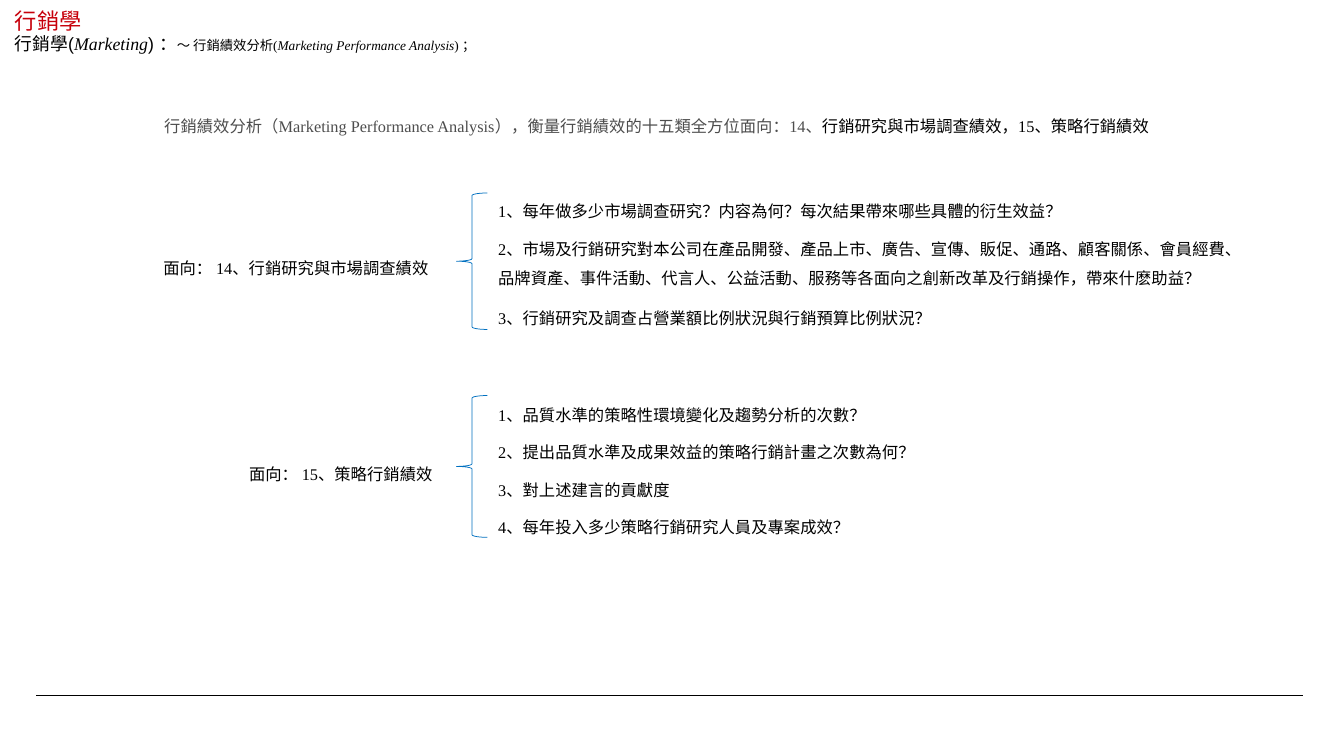
"""Builds the marketing performance slide with its two braced question groups."""
from dataclasses import dataclass

from lxml import etree
from pptx import Presentation
from pptx import util as u
from pptx.dml.color import RGBColor
from pptx.enum import shapes, text
from pptx.oxml import ns

COLOURS = {"red": "C7000B", "black": "000000", "grey": "4D4D4D", "blue": "0070C0"}
CELL = u.Inches(0.1)
COLUMNS, ROWS = 126, 70.9
LINE_ROWS, EXTRA_LINE_ROWS, GAP_ROWS = 3.4, 3.0, 0.1
ITEM_COLUMN, BRACE_COLUMN, BRACE_COLUMNS = 45.8, 42.8, 2.9
SANS, SERIF = "Arial", "Times New Roman"
FRAME_FORMAT = {
    "word_wrap": True,
    "margin_left": u.Inches(0.09),
    "margin_right": u.Inches(0.09),
    "margin_top": u.Inches(0.05),
    "margin_bottom": u.Inches(0.05),
}


@dataclass(frozen=True)
class Area:
    column: float
    row: float
    columns: float
    rows: float = LINE_ROWS


@dataclass(frozen=True)
class Span:
    words: str
    size: float = 11
    font: str = SERIF
    colour: str = "black"
    italic: bool = False


@dataclass(frozen=True)
class Item:
    words: str
    lines: int = 1


@dataclass(frozen=True)
class Group:
    label: str
    label_area: Area
    top: float
    columns: float
    brace_top: float
    brace_rows: float
    items: tuple[Item, ...]


HEADING = [Span("行銷學", 15, SANS, "red")]
SUBHEADING = [
    Span("行銷學(", 12, SANS),
    Span("Marketing", 12, italic=True),
    Span(") ：", 12, SANS),
    Span("～ ", 9, SANS),
    Span("行銷績效分析(", 9),
    Span("Marketing Performance Analysis", 9, italic=True),
    Span(") ；", 9),
]
INTRODUCTION = [
    Span("行銷績效分析（Marketing Performance Analysis），衡量行銷績效的十五類全方位面向：14、",
         colour="grey"),
    Span("行銷研究與市場調查績效，15、策略行銷績效"),
]
GROUPS = [
    Group("面向： 14、行銷研究與市場調查績效", Area(12.7, 22.8, 30.1), 17.5, 71.2, 18.1, 12.8, (
        Item("1、每年做多少市場調查研究？内容為何？每次結果帶來哪些具體的衍生效益？"),
        Item("2、市場及行銷研究對本公司在產品開發、產品上市、廣告、宣傳、販促、通路、顧客關係、"
             "會員經費、品牌資產、事件活動、代言人、公益活動、服務等各面向之創新改革及行銷操作，"
             "帶來什麽助益？", 2),
        Item("3、行銷研究及調查占營業額比例狀況與行銷預算比例狀況？"),
    )),
    Group("面向： 15、策略行銷績效", Area(21.2, 42.1, 21.5), 36.6, 60.5, 37.1, 13.3, (
        Item("1、品質水準的策略性環境變化及趨勢分析的次數？"),
        Item("2、提出品質水準及成果效益的策略行銷計畫之次數為何？"),
        Item("3、對上述建言的貢獻度"),
        Item("4、每年投入多少策略行銷研究人員及專案成效？"),
    )),
]


def cells(count: float) -> int:
    return round(count * CELL)


def bounds(area: Area) -> list[int]:
    return [cells(n) for n in (area.column, area.row, area.columns, area.rows)]


def apply(target, values: dict) -> None:
    for name, value in values.items():
        setattr(target, name, value)


def colour_of(name: str) -> RGBColor:
    return RGBColor.from_string(COLOURS[name])


def write(box, spans: list[Span], align=text.PP_ALIGN.LEFT, spacing: float = 1.0,
          anchor=text.MSO_ANCHOR.TOP, fit=text.MSO_AUTO_SIZE.SHAPE_TO_FIT_TEXT) -> None:
    frame = box.text_frame
    apply(frame, {**FRAME_FORMAT, "vertical_anchor": anchor, "auto_size": fit})
    para = frame.paragraphs[0]
    apply(para, {"alignment": align, "line_spacing": spacing})
    for span in spans:
        run = para.add_run()
        run.text = span.words
        apply(run.font, {"size": u.Pt(span.size), "name": span.font,
                         "italic": span.italic, "bold": False})
        run.font.color.rgb = colour_of(span.colour)


def add_text(page, area: Area, spans: list[Span], **layout) -> None:
    write(page.shapes.add_textbox(*bounds(area)), spans, **layout)


def stroke(shape, colour: str) -> None:
    shape.line.color.rgb = colour_of(colour)
    shape.line.width = u.Pt(0.5)


def add_title(page) -> None:
    title = page.shapes.title
    place = bounds(Area(0.5, 0.7, 93.2, 2.4))
    apply(title, dict(zip(("left", "top", "width", "height"), place)))
    write(title, HEADING, anchor=text.MSO_ANCHOR.MIDDLE, fit=text.MSO_AUTO_SIZE.NONE)


def add_footer_rule(page) -> None:
    left, right, row = cells(3.4), cells(122.2), cells(65.2)
    rule = page.shapes.add_connector(shapes.MSO_CONNECTOR.STRAIGHT, left, row, right, row)
    stroke(rule, "black")
    etree.SubElement(rule._element.spPr, ns.qn("a:effectLst"))


def add_group(page, group: Group) -> None:
    add_text(page, group.label_area, [Span(group.label)],
             align=text.PP_ALIGN.CENTER, spacing=1.5)
    area = Area(BRACE_COLUMN, group.brace_top, BRACE_COLUMNS, group.brace_rows)
    brace = page.shapes.add_shape(shapes.MSO_SHAPE.LEFT_BRACE, *bounds(area))
    brace.shadow.inherit = False
    brace.fill.background()
    stroke(brace, "blue")
    row = group.top
    for item in group.items:
        rows = LINE_ROWS + EXTRA_LINE_ROWS * (item.lines - 1)
        add_text(page, Area(ITEM_COLUMN, row, group.columns, rows),
                 [Span(item.words)], spacing=1.5)
        row += rows + GAP_ROWS


def main() -> None:
    deck = Presentation()
    apply(deck, {"slide_width": cells(COLUMNS), "slide_height": cells(ROWS)})
    page = deck.slides.add_slide(deck.slide_layouts.get_by_name("Title Only"))
    add_footer_rule(page)
    add_title(page)
    add_text(page, Area(0.5, 2.6, 104.3, 3), SUBHEADING)
    add_text(page, Area(14.5, 9.5, 97), INTRODUCTION, spacing=1.5)
    for group in GROUPS:
        add_group(page, group)
    deck.save("out.pptx")


if __name__ == "__main__":
    main()
